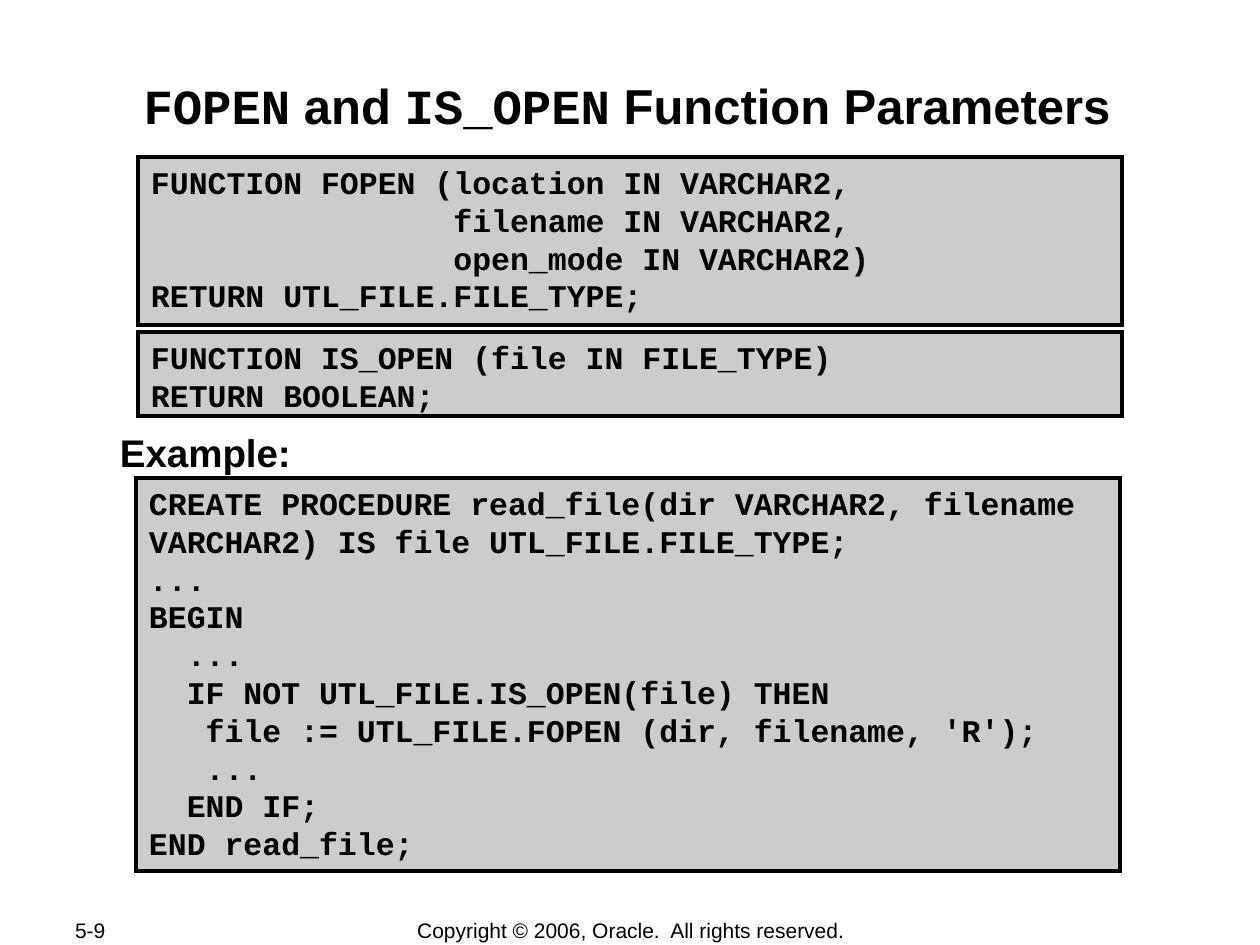
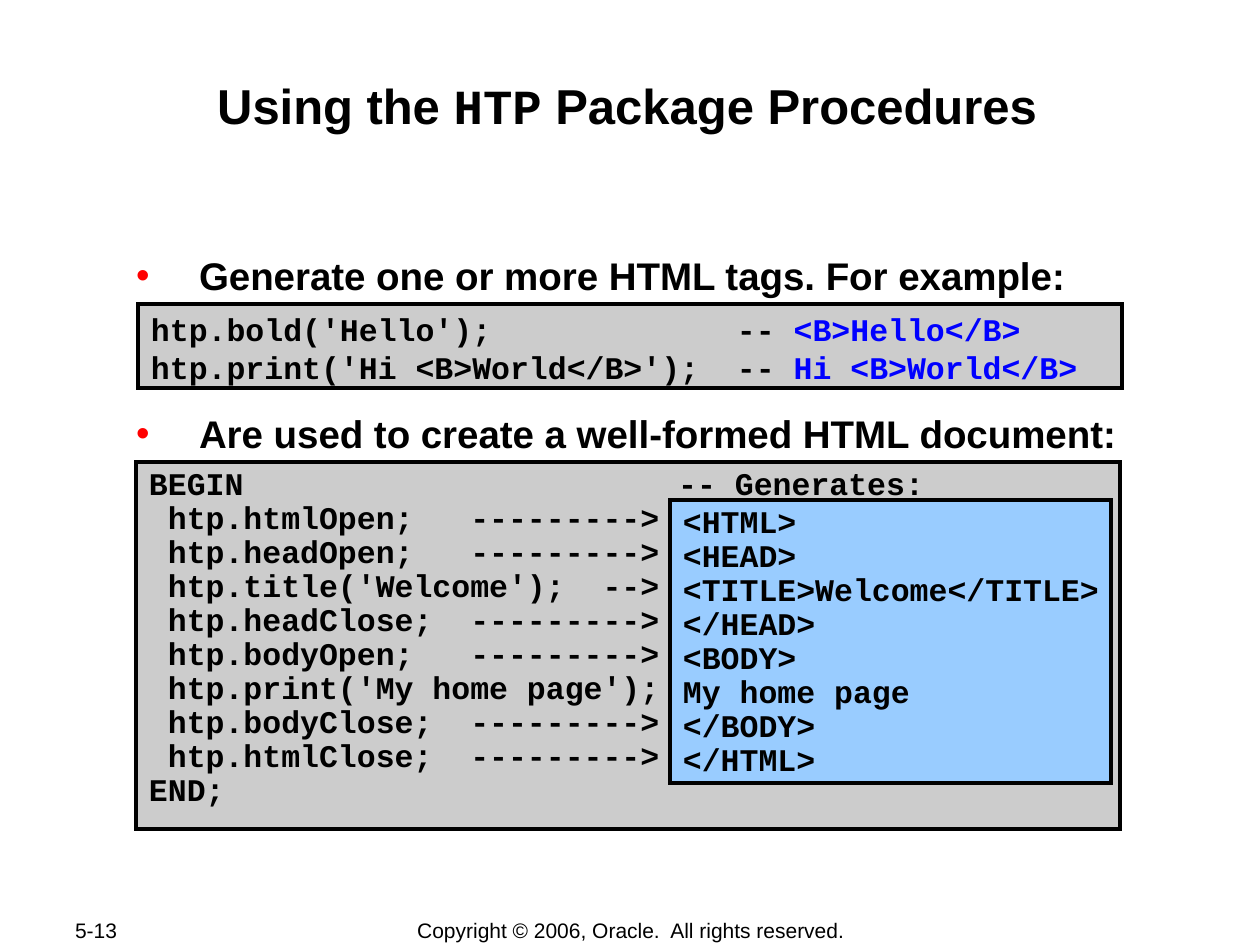
from dataclasses import dataclass
from typing import NamedTuple

from lxml.etree import SubElement
from pptx import Presentation
from pptx.dml.color import RGBColor as Rgb
from pptx.enum.shapes import MSO_SHAPE as Preset
from pptx.enum.text import MSO_ANCHOR as Anchor, MSO_AUTO_SIZE as AutoSize, PP_ALIGN as Align
from pptx.oxml.ns import qn
from pptx.util import Emu, Pt

PX_PER_INCH = 126
LINE_HEIGHT = 1.2


@dataclass(frozen=True)
class Theme:
    ink: str = "000000"
    code_fill: str = "CCCCCC"
    output_fill: str = "99CCFF"
    result: str = "0000FF"
    bullet: str = "FF0000"
    prose: str = "Arial"
    mono: str = "Courier New"
    title_size: int = 28
    body_size: int = 22
    code_size: int = 18
    footer_size: int = 12
    border: float = 2.25


THEME = Theme()


class Box(NamedTuple):
    left: int
    top: int
    width: int
    height: int


class Span(NamedTuple):
    text: str
    font: str = THEME.prose
    color: str = THEME.ink


class BodyLine(NamedTuple):
    text: str
    space_before: int = 0


@dataclass(frozen=True)
class CodePanel:
    box: Box
    lines: list[list[Span]]
    fill: str = THEME.code_fill
    spacing: float = 1.0
    wrap: bool = True


@dataclass(frozen=True)
class Page:
    number: str
    title: list[Span]
    body_box: Box
    body: list[BodyLine]
    bulleted: bool
    panels: list[CodePanel]


TITLE_BOX = Box(123, 74, 1008, 80)
NUMBER_BOX = Box(62, 917, 134, 26)
COPYRIGHT_BOX = Box(348, 917, 566, 26)
COPYRIGHT = "Copyright © 2006, Oracle.  All rights reserved."


def px(length: int) -> Emu:
    return Emu(round(length * 914400 / PX_PER_INCH))


def place(shape, box: Box) -> None:
    shape.left, shape.top, shape.width, shape.height = map(px, box)


def set_frame(frame, *, side: int, top: int, anchor=Anchor.TOP, wrap: bool = True) -> None:
    frame.margin_left = frame.margin_right = px(side)
    frame.margin_top = frame.margin_bottom = px(top)
    frame.vertical_anchor = anchor
    frame.auto_size = AutoSize.NONE
    frame.word_wrap = wrap


def add_text(para, text: str, *, size: int, font: str = THEME.prose,
             color: str = THEME.ink, bold: bool = True) -> None:
    run = para.add_run()
    run.text = text
    run.font.name = font
    run.font.size = Pt(size)
    run.font.bold = bold
    run.font.color.rgb = Rgb.from_string(color)


def paragraphs(frame, count: int) -> list:
    """Return the frame's paragraphs after growing it to count of them."""
    while len(frame.paragraphs) < count:
        frame.add_paragraph()
    return list(frame.paragraphs)


def set_bullet(para, shown: bool) -> None:
    props = para._p.get_or_add_pPr()
    props.set("marL", str(px(79) if shown else 0))
    props.set("indent", str(px(-63) if shown else 0))
    if shown:
        color = SubElement(props, qn("a:buClr"))
        SubElement(color, qn("a:srgbClr"), val=THEME.bullet)
        SubElement(props, qn("a:buFont"), typeface=THEME.prose)
        SubElement(props, qn("a:buChar"), char="•")
    else:
        SubElement(props, qn("a:buNone"))


def fill_title(shape, spans: list[Span]) -> None:
    place(shape, TITLE_BOX)
    set_frame(shape.text_frame, side=1, top=1)
    para = shape.text_frame.paragraphs[0]
    para.alignment = Align.CENTER
    for span in spans:
        add_text(para, span.text, size=THEME.title_size, font=span.font, color=span.color)


def fill_body(shape, page: Page) -> None:
    place(shape, page.body_box)
    set_frame(shape.text_frame, side=1, top=1)
    for para, line in zip(paragraphs(shape.text_frame, len(page.body)), page.body):
        set_bullet(para, page.bulleted)
        para.space_before = Pt(line.space_before)
        add_text(para, line.text, size=THEME.body_size)


def set_border(line) -> None:
    """Give the line the theme's border with square corners."""
    line.color.rgb = Rgb.from_string(THEME.ink)
    line.width = Pt(THEME.border)
    SubElement(line._get_or_add_ln(), qn("a:miter"), lim="800000")


def add_panel(slide, panel: CodePanel) -> None:
    shape = slide.shapes.add_shape(Preset.RECTANGLE, *map(px, panel.box))
    shape.shadow.inherit = False
    shape.fill.solid()
    shape.fill.fore_color.rgb = Rgb.from_string(panel.fill)
    set_border(shape.line)
    frame = shape.text_frame
    set_frame(frame, side=13, top=6, wrap=panel.wrap)
    for para, spans in zip(paragraphs(frame, len(panel.lines)), panel.lines):
        para.alignment = Align.LEFT
        para.line_spacing = Pt(THEME.code_size * LINE_HEIGHT * panel.spacing)
        for span in spans:
            add_text(para, span.text, size=THEME.code_size, font=span.font, color=span.color)


def add_footer(slide, box: Box, text: str, alignment) -> None:
    shape = slide.shapes.add_textbox(*map(px, box))
    set_frame(shape.text_frame, side=13, top=6, anchor=Anchor.MIDDLE)
    para = shape.text_frame.paragraphs[0]
    para.alignment = alignment
    add_text(para, text, size=THEME.footer_size, bold=False)


def mono(text: str, color: str = THEME.ink) -> Span:
    return Span(text, THEME.mono, color)


def code(listing: str) -> list[list[Span]]:
    """Split a listing into one-span code lines."""
    return [[mono(line)] for line in listing.strip("\n").split("\n")]


FOPEN_SIGNATURE = """
FUNCTION FOPEN (location IN VARCHAR2,
                filename IN VARCHAR2,
                open_mode IN VARCHAR2)
RETURN UTL_FILE.FILE_TYPE;
"""

IS_OPEN_SIGNATURE = """
FUNCTION IS_OPEN (file IN FILE_TYPE)
RETURN BOOLEAN;
"""

READ_FILE = """
CREATE PROCEDURE read_file(dir VARCHAR2, filename VARCHAR2) IS file UTL_FILE.FILE_TYPE;
...
BEGIN
  ...
  IF NOT UTL_FILE.IS_OPEN(file) THEN
   file := UTL_FILE.FOPEN (dir, filename, 'R');
   ...
  END IF;
END read_file;
"""

HTP_CALLS = """
BEGIN                       -- Generates:
 htp.htmlOpen;   --------->
 htp.headOpen;   --------->
 htp.title('Welcome');  -->
 htp.headClose;  --------->
 htp.bodyOpen;   --------->
 htp.print('My home page');
 htp.bodyClose;  --------->
 htp.htmlClose;  --------->
END;
"""

HTML_OUTPUT = """
<HTML>
<HEAD>
<TITLE>Welcome</TITLE>
</HEAD>
<BODY>
My home page
</BODY>
</HTML>
"""

TAG_LINES = [
    [mono("htp.bold('Hello');             -- "), mono("<B>Hello</B>", THEME.result)],
    [mono("htp.print('Hi <B>World</B>');  -- "), mono("Hi <B>World</B>", THEME.result)],
]

PAGES = [
    Page(
        number="5-9",
        title=[mono("FOPEN"), Span(" and "), mono("IS_OPEN"), Span(" Function Parameters")],
        body_box=Box(119, 428, 1016, 46),
        body=[BodyLine("Example:")],
        bulleted=False,
        panels=[
            CodePanel(Box(138, 157, 984, 168), code(FOPEN_SIGNATURE)),
            CodePanel(Box(138, 332, 984, 84), code(IS_OPEN_SIGNATURE)),
            CodePanel(Box(136, 478, 984, 393), code(READ_FILE)),
        ],
    ),
    Page(
        number="5-13",
        title=[Span("Using the "), mono("HTP"), Span(" Package Procedures")],
        body_box=Box(119, 251, 1016, 206),
        body=[
            BodyLine("Generate one or more HTML tags. For example:"),
            BodyLine("Are used to create a well-formed HTML document:", space_before=64),
        ],
        bulleted=True,
        panels=[
            CodePanel(Box(138, 304, 984, 84), TAG_LINES),
            CodePanel(Box(136, 462, 984, 367), code(HTP_CALLS), spacing=0.9),
            CodePanel(Box(670, 500, 441, 283), code(HTML_OUTPUT),
                      fill=THEME.output_fill, spacing=0.9, wrap=False),
        ],
    ),
]


def add_page(deck, page: Page) -> None:
    slide = deck.slides.add_slide(deck.slide_layouts[1])
    fill_title(slide.shapes.title, page.title)
    fill_body(slide.placeholders[1], page)
    for panel in page.panels:
        add_panel(slide, panel)
    add_footer(slide, NUMBER_BOX, page.number, Align.LEFT)
    add_footer(slide, COPYRIGHT_BOX, COPYRIGHT, Align.CENTER)


def main() -> None:
    deck = Presentation()
    deck.slide_width, deck.slide_height = px(1260), px(945)
    for page in PAGES:
        add_page(deck, page)
    deck.save("out.pptx")


if __name__ == "__main__":
    main()
